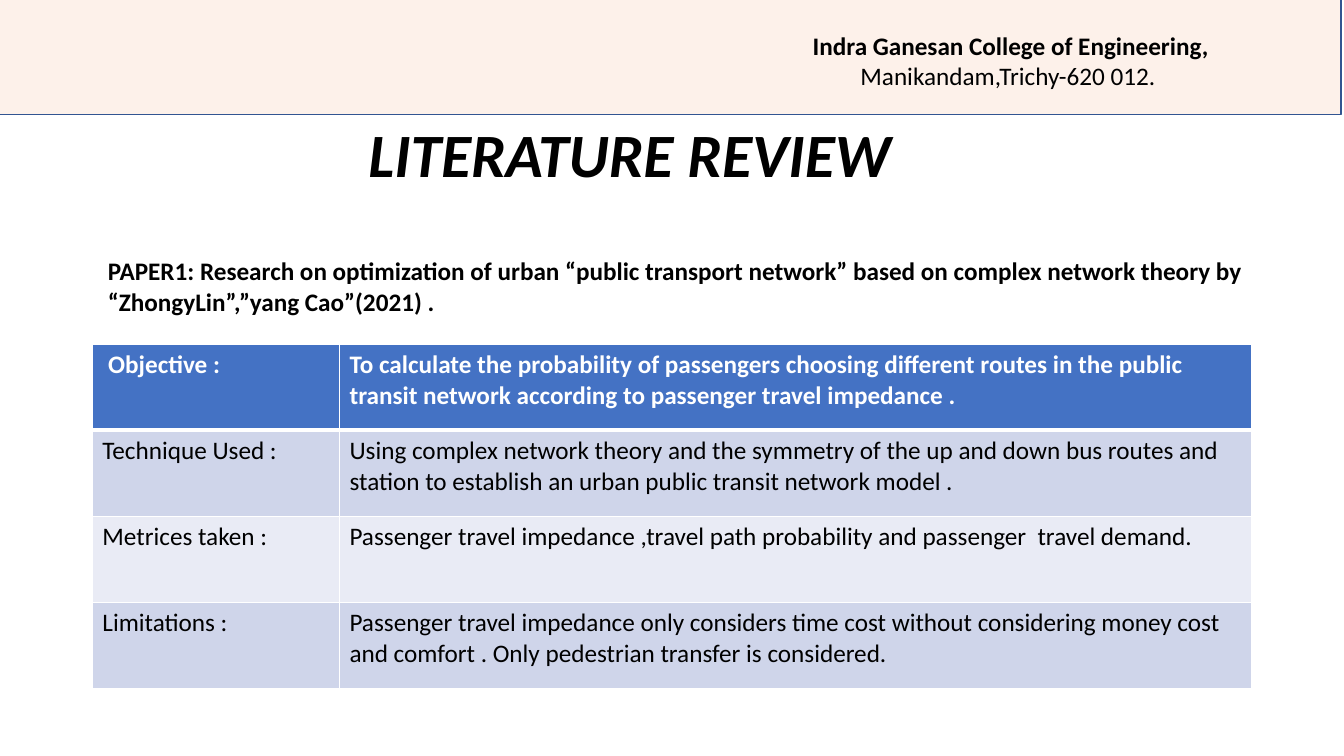
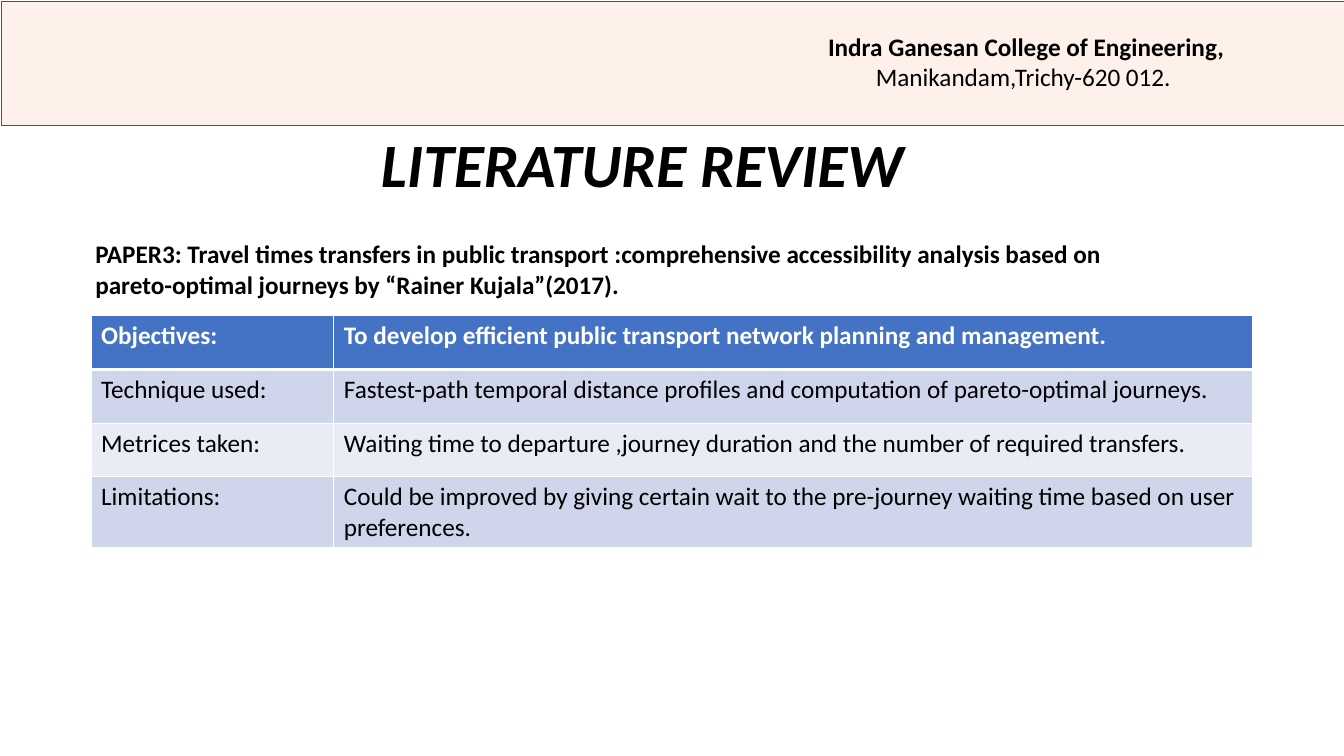
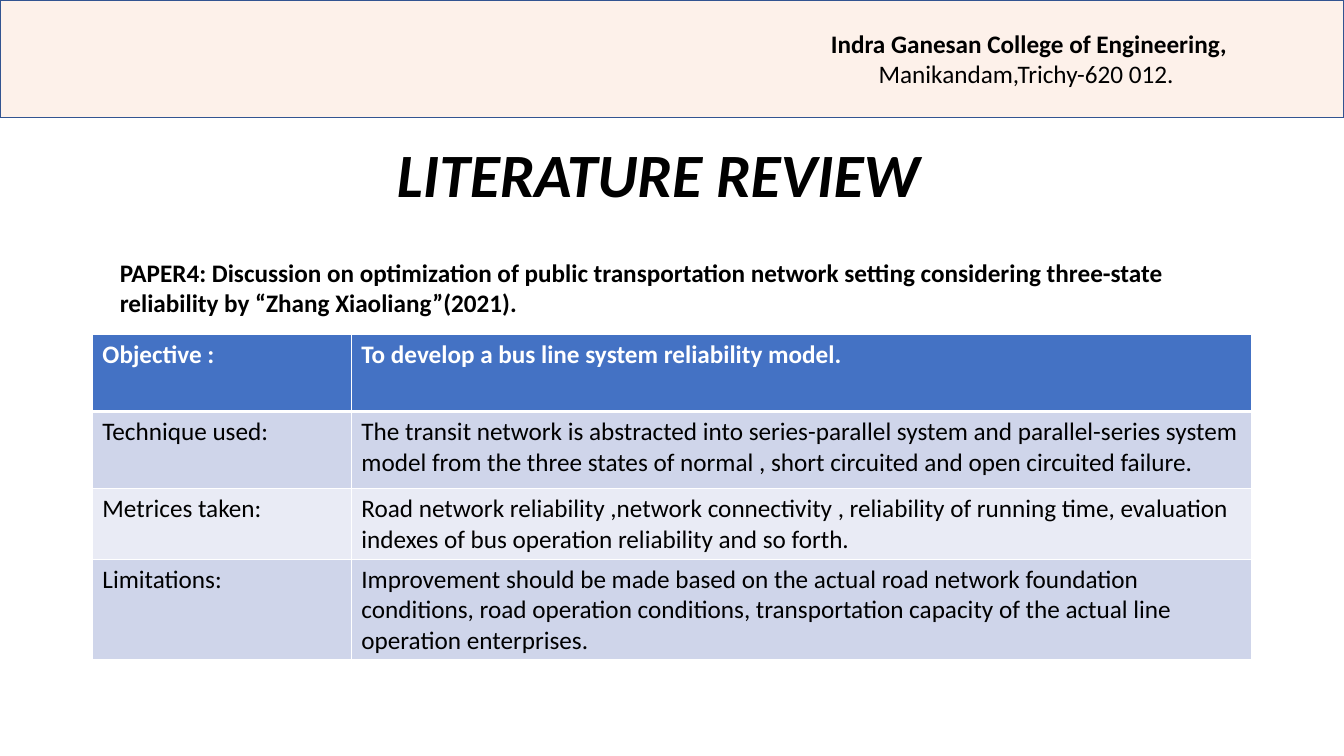
"""Build three literature review slides, each with a college band, a paper and a table."""
from pptx import Presentation
from pptx.dml.color import RGBColor
from pptx.enum.shapes import MSO_SHAPE as Shape
from pptx.enum.text import MSO_ANCHOR as Anchor, PP_ALIGN as Align
from pptx.oxml.ns import qn
from pptx.util import Pt
from lxml.etree import SubElement as Sub

BLACK = RGBColor(0, 0, 0)
WHITE = RGBColor(255, 255, 255)
PEACH = RGBColor(0xF8, 0xCB, 0xAD)
NAVY = RGBColor(0x32, 0x54, 0x91)
BLUE = RGBColor(0x44, 0x72, 0xC4)
DARK = RGBColor(0xCF, 0xD5, 0xEA)
PALE = RGBColor(0xE9, 0xEB, 0xF5)
FILLS = (BLUE, DARK, PALE, DARK)
FONT = "Calibri"

TITLE = "LITERATURE REVIEW"
COLLEGE = " Indra Ganesan College of Engineering, "
PLACE = "Manikandam,Trichy-620 012.\u00a0"

REVIEWS = [
    dict(
        paper="PAPER1: Research on optimization of urban “public transport network” based on "
              "complex network theory by “ZhongyLin”,”yang Cao”(2021) .",
        rows=[
            (" Objective :", "To calculate the probability of passengers choosing different routes in "
             "the public transit network according to passenger travel impedance ."),
            ("Technique Used :", "Using complex network theory and the symmetry of the up and down bus "
             "routes and station to establish an urban public transit network model ."),
            ("Metrices taken :", "Passenger travel impedance ,travel path probability and passenger  "
             "travel demand. "),
            ("Limitations :", "Passenger travel impedance only considers time cost without considering "
             "money cost and comfort . Only pedestrian transfer is considered."),
        ],
        title_box=(256, 59, 828, 107), paper_box=(70, 179, 866, 51),
        band_box=(-2, -2, 960, 84), college_box=(482, 18, 480, 51),
        corner=(66, 246), widths=(176.5, 651.5), heights=(61.4,) * 4),
    dict(
        paper="PAPER3: Travel times transfers in public transport :comprehensive accessibility "
              "analysis based on pareto-optimal journeys by “Rainer Kujala”(2017). ",
        rows=[
            ("Objectives:", "To develop efficient public transport network planning and management."),
            ("Technique used:", "Fastest-path temporal distance profiles and computation of "
             "pareto-optimal journeys."),
            ("Metrices taken:", "Waiting time to departure ,journey duration and the number of "
             "required transfers."),
            ("Limitations:", "Could be improved by giving certain wait to the pre-journey waiting time "
             "based on user preferences."),
        ],
        title_box=(265, 78.5, 697, 82), paper_box=(61, 167, 762.5, 51),
        band_box=(1, 1, 960, 88.5), college_box=(493, 19, 480, 51),
        corner=(65, 225.5), widths=(173.5, 656), heights=(38.4,) * 4),
    dict(
        paper="PAPER4: Discussion on optimization of public transportation network setting "
              "considering three-state reliability by “Zhang Xiaoliang”(2021).",
        rows=[
            ("Objective :", "To develop a bus line system reliability model."),
            ("Technique used:", "The transit network is abstracted into series-parallel system and "
             "parallel-series system model from the three states of normal , short circuited and open "
             "circuited failure."),
            ("Metrices taken:", "Road network reliability ,network connectivity , reliability of "
             "running time, evaluation indexes of bus operation reliability and so forth."),
            ("Limitations:", "Improvement should be made based on the actual road network foundation "
             "conditions, road operation conditions, transportation capacity of the actual line "
             "operation enterprises."),
        ],
        title_box=(276.5, 91.5, 618, 70.5), paper_box=(78.5, 180, 790, 51),
        band_box=(0, 0, 960, 84), college_box=(495, 16.5, 480, 51),
        corner=(66, 239), widths=(185, 643), heights=(55, 55, 44, 55)),
]


def points(box):
    return [Pt(v) for v in box]


def add_run(para, text, size=18, bold=True, italic=False, color=BLACK):
    run = para.add_run()
    run.text = text
    font = run.font
    font.name, font.size = FONT, Pt(size)
    font.bold, font.italic = bold, italic
    font.color.rgb = color


def add_text(slide, box):
    frame = slide.shapes.add_textbox(*points(box)).text_frame
    frame.word_wrap = True
    return frame


def add_title(slide, box):
    frame = add_text(slide, box)
    frame.vertical_anchor = Anchor.MIDDLE
    para = frame.paragraphs[0]
    para.line_spacing = 0.9
    add_run(para, TITLE, size=44, italic=True)


def add_band(slide, box, college_box):
    band = slide.shapes.add_shape(Shape.RECTANGLE, *points(box))
    band.shadow.inherit = False
    band.fill.solid()
    band.fill.fore_color.rgb = PEACH
    tint = band.fill._xPr.find(qn("a:solidFill"))[0]
    Sub(tint, qn("a:alpha"), val="25000")
    band.line.color.rgb = NAVY
    band.line.width = Pt(1)
    para = add_text(slide, college_box).paragraphs[0]
    para.alignment = Align.CENTER
    add_run(para, COLLEGE)
    para.add_line_break()
    add_run(para, PLACE, bold=False)


def add_edges(cell, row):
    props = cell._tc.get_or_add_tcPr()
    for side in "LRTB":
        thick = (row, side) in ((0, "B"), (1, "T"))
        edge = Sub(props, qn("a:ln" + side), w=str(Pt(3 if thick else 1)))
        fill = Sub(edge, qn("a:solidFill"))
        Sub(fill, qn("a:srgbClr"), val=str(WHITE))


def add_grid(slide, rows, corner, widths, heights):
    box = points((*corner, sum(widths), sum(heights)))
    table = slide.shapes.add_table(len(rows), len(widths), *box).table
    for col, width in zip(table.columns, widths):
        col.width = Pt(width)
    for r, texts in enumerate(rows):
        table.rows[r].height = Pt(heights[r])
        for c, text in enumerate(texts):
            cell = table.cell(r, c)
            add_edges(cell, r)
            cell.fill.solid()
            cell.fill.fore_color.rgb = FILLS[r]
            add_run(cell.text_frame.paragraphs[0], text, bold=r == 0,
                    color=BLACK if r else WHITE)


deck = Presentation()
deck.slide_width, deck.slide_height = Pt(960), Pt(540)
for item in REVIEWS:
    slide = deck.slides.add_slide(deck.slide_layouts[6])
    add_title(slide, item["title_box"])
    add_grid(slide, item["rows"], item["corner"], item["widths"], item["heights"])
    add_band(slide, item["band_box"], item["college_box"])
    add_run(add_text(slide, item["paper_box"]).paragraphs[0], item["paper"])
deck.save("out.pptx")
